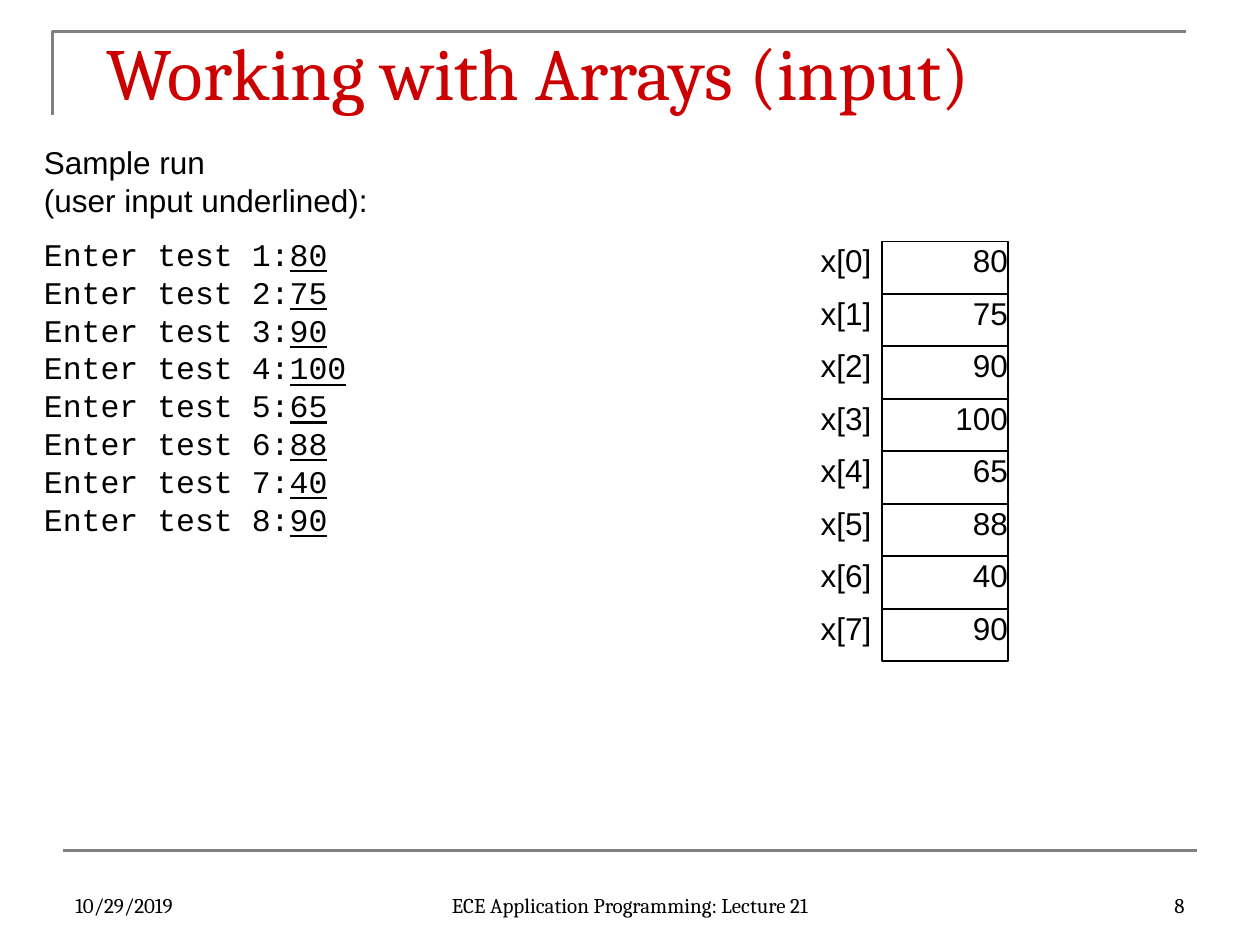
from lxml import etree
from pptx import Presentation
from pptx import util as u
from pptx.dml.color import RGBColor
from pptx.enum import shapes, text
from pptx.oxml.ns import qn

Pt = u.Pt
COLORS = {"title": "CC0000", "text": "000000", "rule": "808080"}
SCORES = [80, 75, 90, 100, 65, 88, 40, 90]
ALIGN = text.PP_ALIGN
ANCHOR = text.MSO_ANCHOR


def set_line(shape, color, width):
    shape.line.color.rgb = RGBColor.from_string(COLORS[color])
    shape.line.width = Pt(width)


def set_frame(shape, inset=None, anchor=ANCHOR.TOP):
    frame = shape.text_frame
    frame.word_wrap = True
    frame.vertical_anchor = anchor
    if inset is not None:
        frame.margin_left = frame.margin_right = Pt(inset)
        frame.margin_top = frame.margin_bottom = Pt(inset)
    return frame


def add_box(slide, box):
    return slide.shapes.add_textbox(*map(Pt, box))


def add_run(paragraph, words, size=18, font="Arial", color="text", underline=None):
    run = paragraph.add_run()
    run.text = words
    run.font.size = Pt(size)
    run.font.name = font
    run.font.color.rgb = RGBColor.from_string(COLORS[color])
    run.font.underline = underline


def add_frame_lines(slide, box):
    """Corner rule at the top left and rule above the footer."""
    left, top, width, height = box
    builder = slide.shapes.build_freeform(Pt(left), Pt(top + 48))
    builder.add_line_segments(
        [(Pt(left), Pt(top)), (Pt(left + width), Pt(top))], close=False)
    corner = builder.convert_to_shape()
    corner.shadow.inherit = False
    corner.fill.background()
    set_line(corner, "rule", 1.5)

    bottom = Pt(top + height)
    rule = slide.shapes.add_connector(
        shapes.MSO_CONNECTOR.STRAIGHT, Pt(left + 6), bottom, Pt(left + 6 + width), bottom)
    set_line(rule, "rule", 1.5)
    etree.SubElement(rule._element.spPr, qn("a:effectLst"))


def add_title(slide, box):
    frame = set_frame(add_box(slide, box))
    add_run(frame.paragraphs[0], "Working with Arrays (input)", 42, "Cambria", "title")


def add_sample_run(slide, box):
    frame = set_frame(add_box(slide, box))
    heading = frame.paragraphs[0]
    heading.line_spacing = Pt(21.6)
    add_run(heading, "Sample run ")
    heading.add_line_break()
    add_run(heading, "(user input underlined):")

    # Prompts with the typed scores underlined
    session = frame.add_paragraph()
    session.line_spacing = Pt(21.6)
    session.space_before = Pt(9.5)
    for number, score in enumerate(SCORES, 1):
        if number > 1:
            session.add_line_break()
        add_run(session, f"Enter test {number}:", font="Courier New")
        add_run(session, str(score), font="Courier New", underline=True)


def add_array(slide, box):
    """Index labels on the left, one bordered cell per score on the right."""
    left, top, width, height = box
    cell_width, label_gap = 72, 6
    row_height = height / len(SCORES)
    for index, score in enumerate(SCORES):
        row_top = top + index * row_height
        label = add_box(
            slide, (left, row_top, width - cell_width - label_gap, row_height))
        cell = slide.shapes.add_shape(
            shapes.MSO_SHAPE.RECTANGLE, Pt(left + width - cell_width), Pt(row_top),
            Pt(cell_width), Pt(row_height - 0.25))
        cell.shadow.inherit = False
        cell.fill.background()
        set_line(cell, "text", 0.75)
        for shape, words in ((label, f"x[{index}]"), (cell, str(score))):
            paragraph = set_frame(shape, inset=0).paragraphs[0]
            paragraph.alignment = ALIGN.RIGHT
            paragraph.line_spacing = Pt(21.6)
            add_run(paragraph, words)


def add_footer(slide, box):
    left, top, width, height = box
    side, middle = 168, 228
    parts = [
        ("10/29/2019", left, side, ALIGN.LEFT),
        ("8", left + width - side, side, ALIGN.RIGHT),
        ("ECE Application Programming: Lecture 21",
         left + (width - middle) / 2, middle, ALIGN.CENTER),
    ]
    for words, part_left, part_width, alignment in parts:
        shape = add_box(slide, (part_left, top, part_width, height))
        paragraph = set_frame(shape, anchor=ANCHOR.BOTTOM).paragraphs[0]
        paragraph.alignment = alignment
        add_run(paragraph, words, 12, "Cambria")


def main():
    presentation = Presentation()
    presentation.slide_width, presentation.slide_height = Pt(720), Pt(540)
    slide = presentation.slides.add_slide(presentation.slide_layouts[6])
    add_frame_lines(slide, (30, 18, 648, 468))
    add_title(slide, (54, 12, 612, 42))
    add_sample_run(slide, (18, 78, 288, 381))
    add_array(slide, (432, 138, 144, 240))
    add_footer(slide, (36, 492, 648, 36))
    presentation.save("out.pptx")


if __name__ == "__main__":
    main()
